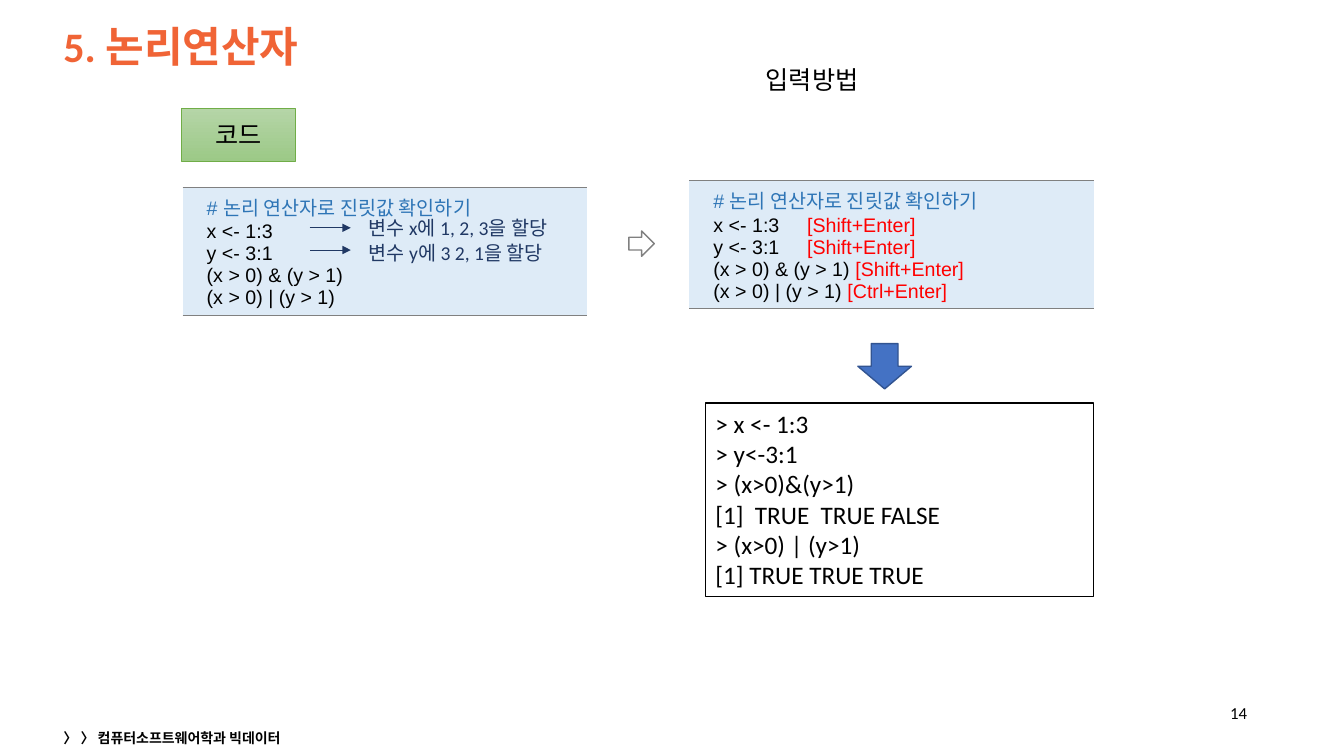
from lxml import etree
from pptx import Presentation
from pptx.dml import color as dml
from pptx.enum import shapes, text
from pptx.oxml import ns
from pptx.util import Cm, Pt

KIND = shapes.MSO_SHAPE
ALIGN = text.PP_ALIGN
MID = text.MSO_ANCHOR.MIDDLE


def rgb(code):
    return dml.RGBColor.from_string(code)


def node(parent, tag, **attrs):
    return etree.SubElement(parent, ns.qn(tag), **attrs)


class Deck:
    font = "Calibri"
    black = "000000"
    navy = "203864"
    gray = "808080"
    blue = "2E75B6"
    red = "FF0000"
    pale = "DEEBF7"

    def __init__(self):
        self.prs = Presentation()
        self.prs.slide_width = Cm(33.87)
        self.prs.slide_height = Cm(19.05)
        self.slide = self.prs.slides.add_slide(self.prs.slide_layouts[6])

    def words(self, frame, lines, size, face=None, bold=False, align=ALIGN.LEFT):
        for i, runs in enumerate(lines):
            para = frame.paragraphs[0] if i == 0 else frame.add_paragraph()
            para.alignment = align
            for part, tint in runs:
                run = para.add_run()
                run.text = part
                run.font.name = face or self.font
                run.font.size = Pt(size)
                run.font.bold = bold
                run.font.color.rgb = rgb(tint)

    def label(self, box, line, size, tint=black, bold=False, align=ALIGN.LEFT,
              anchor=text.MSO_ANCHOR.TOP, wrap=True):
        frame = self.slide.shapes.add_textbox(*map(Cm, box)).text_frame
        frame.word_wrap = wrap
        frame.vertical_anchor = anchor
        self.words(frame, [[(line, tint)]], size, bold=bold, align=align)
        return frame

    def shape(self, kind, box, line, width=1, fill=None):
        item = self.slide.shapes.add_shape(kind, *map(Cm, box))
        item.shadow.inherit = False
        item.line.color.rgb = rgb(line)
        item.line.width = Pt(width)
        if fill is None:
            item.fill.background()
        elif isinstance(fill, str):
            item.fill.solid()
            item.fill.fore_color.rgb = rgb(fill)
        else:
            item.fill.gradient()
            item.fill.gradient_angle = 270
            for stop, tint in zip(item.fill.gradient_stops, fill):
                stop.color.rgb = rgb(tint)
        item.text_frame.word_wrap = True
        return item

    def arrow(self, left, right, top):
        ends = map(Cm, (left, top, right, top))
        item = self.slide.shapes.add_connector(shapes.MSO_CONNECTOR.STRAIGHT, *ends)
        item.line.color.rgb = rgb(self.navy)
        item.line.width = Pt(0.5)
        props = item._element.spPr
        node(props.find(ns.qn("a:ln")), "a:tailEnd", type="triangle")
        node(props, "a:effectLst")

    def code(self, left, top, lines, tab=None):
        box = map(Cm, (left, top, 10.19, 3.23))
        table = self.slide.shapes.add_table(1, 1, *box).table
        table.first_row = table.horz_banding = False
        cell = table.cell(0, 0)
        cell.margin_left, cell.margin_right = Cm(0.61), Cm(0.25)
        cell.margin_top = cell.margin_bottom = Cm(0.13)
        cell.fill.solid()
        cell.fill.fore_color.rgb = rgb(self.pale)
        self.words(cell.text_frame, lines, 14, "Arial")
        if tab:
            for para in cell.text_frame.paragraphs:
                tabs = node(para._p.get_or_add_pPr(), "a:tabLst")
                node(tabs, "a:tab", pos=str(Cm(tab)), algn="l")
        props = cell._tc.get_or_add_tcPr()
        for i, side in enumerate("LRTB"):
            edge = node(props, "a:ln" + side, w=str(Pt(1)))
            if side in "TB":
                node(node(edge, "a:solidFill"), "a:srgbClr", val=self.gray)
            else:
                node(edge, "a:noFill")
            props.insert(i, edge)


def main():
    deck = Deck()
    ink = deck.black
    deck.label((30.56, 17.45, 1.12, 1.02), "14", 12, align=ALIGN.RIGHT, anchor=MID)
    title = deck.label((1.35, 0.3, 31.34, 1.85), "5. 논리연산자", 30, "F06436",
                       bold=True, anchor=MID)
    title.paragraphs[0].line_spacing = 0.9
    deck.label((1.35, 18.26, 11.43, 0.61), "〉 〉 컴퓨터소프트웨어학과 빅데이터", 10,
               bold=True)

    head = [("# 논리 연산자로 진릿값 확인하기", deck.blue)]
    steps = [("x <- 1:3", "\t", "Shift"), ("y <- 3:1", "\t", "Shift"),
             ("(x > 0) & (y > 1)", " ", "Shift"), ("(x > 0) | (y > 1)", " ", "Ctrl")]
    deck.code(4.6, 4.72, [head] + [[(step, ink)] for step, _, _ in steps])
    for top, note in ((5.31, "변수 x에 1, 2, 3을 할당"), (5.94, "변수 y에 3 2, 1을 할당")):
        deck.label((9.04, top, 6.48, 0.86), note, 14, deck.navy)
    deck.shape(KIND.RIGHT_ARROW, (15.85, 5.82, 0.64, 0.64), deck.gray)
    for left, top in ((7.8, 5.74), (7.82, 6.3)):
        deck.arrow(left, 8.84, top)

    badge = deck.shape(KIND.RECTANGLE, (4.57, 2.74, 2.87, 1.32), "70AD47", 0.5,
                       ("B5D5A7", "9CC987"))
    deck.words(badge.text_frame, [[("코드", ink)]], 18, align=ALIGN.CENTER)
    deck.label((19.05, 1.5, 3.07, 1.02), "입력방법", 18, wrap=False)
    keys = [[(step + gap, ink), (f"[{key}+Enter]", deck.red)] for step, gap, key in steps]
    deck.code(17.37, 4.55, [head] + keys, tab=2.36)

    out = deck.shape(KIND.RECTANGLE, (17.78, 10.16, 9.78, 4.88), ink, fill="FFFFFF")
    out.text_frame.vertical_anchor = text.MSO_ANCHOR.TOP
    rows = ["> x <- 1:3", "> y<-3:1", "> (x>0)&(y>1)", "[1]  TRUE  TRUE FALSE",
            "> (x>0) | (y>1)", "[1] TRUE TRUE TRUE"]
    deck.words(out.text_frame, [[(row, ink)] for row in rows], 18)
    deck.shape(KIND.DOWN_ARROW, (21.62, 8.66, 1.35, 1.14), "325491", fill="4472C4")
    deck.prs.save("out.pptx")


if __name__ == "__main__":
    main()
